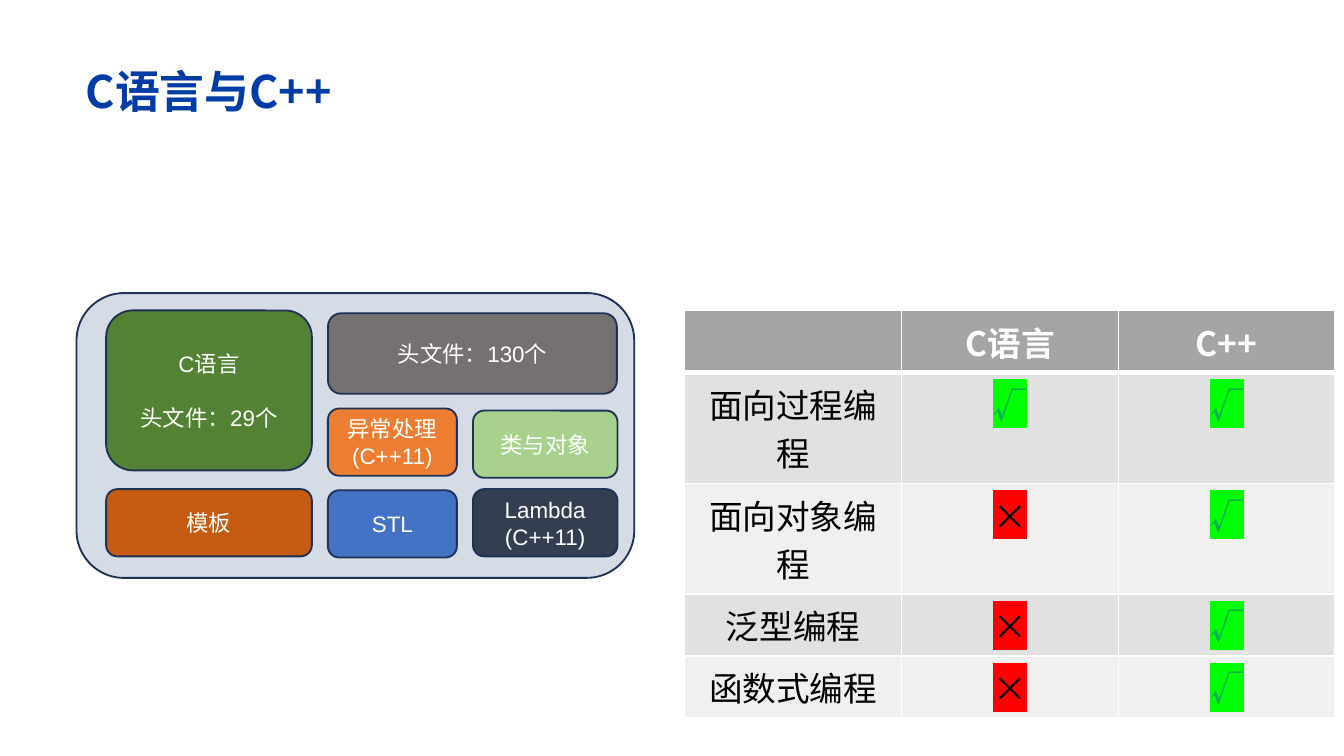
from pptx import Presentation
from pptx import util as u
from pptx.dml.color import RGBColor
from pptx.enum import shapes, text
from pptx.oxml.ns import qn
from lxml import etree

Pt = u.Pt
COLORS = {
    "title": "003CA6", "outline": "1E3256", "panel": "D6DCE5", "white": "FFFFFF", "black": "000000",
    "green": "548235", "gray": "767171", "orange": "ED7D31", "rust": "C55A11",
    "light green": "A9D18E", "blue": "4472C4", "navy": "333F50",
    "header": "A5A5A5", "odd row": "E1E1E1", "even row": "F0F0F0",
    "check": "00B050", "yes": "00FF00", "no": "FF0000",
}
HEADING_FONT = "Noto Sans CJK SC"
BODY_FONT = "Arial"

# label, fill, left, top, width, height
FEATURES = [
    ("C语言\n头文件：29个", "green", 56.9, 166.3, 110.2, 85.7),
    ("头文件：130个", "gray", 175.7, 167.8, 154.8, 43.2),
    ("异常处理\v(C++11)", "orange", 175.7, 218.9, 69.1, 36),
    ("模板", "rust", 56.9, 262.1, 110.2, 36),
    ("类与对象", "light green", 253.4, 220, 77.4, 36),
    ("STL", "blue", 175.7, 262.7, 69.1, 36),
    ("Lambda\n(C++11)", "navy", 253.4, 262.1, 77.4, 36),
]
PARADIGMS = [
    ("", "C语言", "C++"),
    ("面向过程编程", "√", "√"),
    ("面向对象编程", "×", "√"),
    ("泛型编程", "×", "√"),
    ("函数式编程", "×", "√"),
]
MARKS = {"√": ("check", "yes", True), "×": ("black", "no", False)}


def rgb(name):
    return RGBColor.from_string(COLORS[name])


def add_color(parent, tag, name):
    holder = etree.SubElement(parent, qn(tag))
    etree.SubElement(holder, qn("a:srgbClr"), val=COLORS[name])


class SlideBuilder:
    def __init__(self, slide):
        self.slide = slide

    def style(self, paragraph, size, color, face, bold=False):
        font = paragraph.font
        font.size, font.bold, font.name = Pt(size), bold, face
        font.color.rgb = rgb(color)
        if face == HEADING_FONT:
            defaults = paragraph._p.pPr.find(qn("a:defRPr"))
            etree.SubElement(defaults, qn("a:ea"), typeface=face)

    def title(self, label, left, top, width, height):
        title = self.slide.shapes.title
        title.left, title.top, title.width, title.height = map(Pt, (left, top, width, height))
        frame = title.text_frame
        frame.text = label
        frame.margin_left = frame.margin_right = Pt(5)
        frame.margin_top = frame.margin_bottom = Pt(2.9)
        frame.vertical_anchor = text.MSO_ANCHOR.MIDDLE
        heading = frame.paragraphs[0]
        heading.alignment = text.PP_ALIGN.LEFT
        self.style(heading, 24, "title", HEADING_FONT, True)

    def box(self, label, fill, left, top, width, height, gap=0):
        """Add a rounded box; gap is the space between its paragraphs."""
        box = self.slide.shapes.add_shape(
            shapes.MSO_SHAPE.ROUNDED_RECTANGLE, *map(Pt, (left, top, width, height)))
        box.shadow.inherit = False
        box.fill.solid()
        box.fill.fore_color.rgb = rgb(fill)
        box.line.color.rgb = rgb("outline")
        box.line.width = Pt(1)
        if not label:
            return
        frame = box.text_frame
        frame.text = label
        frame.vertical_anchor = text.MSO_ANCHOR.MIDDLE
        for index, paragraph in enumerate(frame.paragraphs):
            paragraph.alignment = text.PP_ALIGN.CENTER
            if index and gap:
                paragraph.space_before = Pt(gap)
            self.style(paragraph, 12, "white", BODY_FONT)

    def border(self, cell, bottom):
        properties = cell._tc.get_or_add_tcPr()
        for side, width in (("L", 1), ("R", 1), ("T", 1), ("B", bottom)):
            edge = etree.SubElement(properties, qn(f"a:ln{side}"), w=str(Pt(width)))
            add_color(edge, "a:solidFill", "white")

    def cell(self, cell, label, row):
        is_header = row == 0
        self.border(cell, 3 if is_header else 1)
        cell.fill.solid()
        cell.fill.fore_color.rgb = rgb("header" if is_header else "odd row" if row % 2 else "even row")
        if not label:
            return
        cell.text = label
        paragraph = cell.text_frame.paragraphs[0]
        paragraph.alignment = text.PP_ALIGN.CENTER
        color, highlight, bold = MARKS.get(label, ("white" if is_header else "black", None, is_header))
        self.style(paragraph, 18, color, HEADING_FONT, bold)
        if highlight:
            add_color(paragraph.runs[0]._r.get_or_add_rPr(), "a:highlight", highlight)

    def table(self, rows, left, top, width, row_height):
        table = self.slide.shapes.add_table(
            len(rows), len(rows[0]), *map(Pt, (left, top, width, row_height * len(rows)))).table
        table.horz_banding = False
        for row, labels in enumerate(rows):
            for column, label in enumerate(labels):
                self.cell(table.cell(row, column), label, row)


def main():
    deck = Presentation()
    deck.slide_width, deck.slide_height = Pt(720), Pt(405)
    builder = SlideBuilder(deck.slides.add_slide(deck.slide_layouts[5]))
    builder.title("C语言与C++", 41, 28.8, 507.6, 39.6)
    builder.box("", "panel", 41, 157, 298.8, 152.6)
    for feature in FEATURES:
        builder.box(*feature, gap=14.4 if feature[1] == "green" else 0)
    builder.table(PARADIGMS, 366.8, 166.3, 348.5, 28.7)
    deck.save("out.pptx")


if __name__ == "__main__":
    main()
